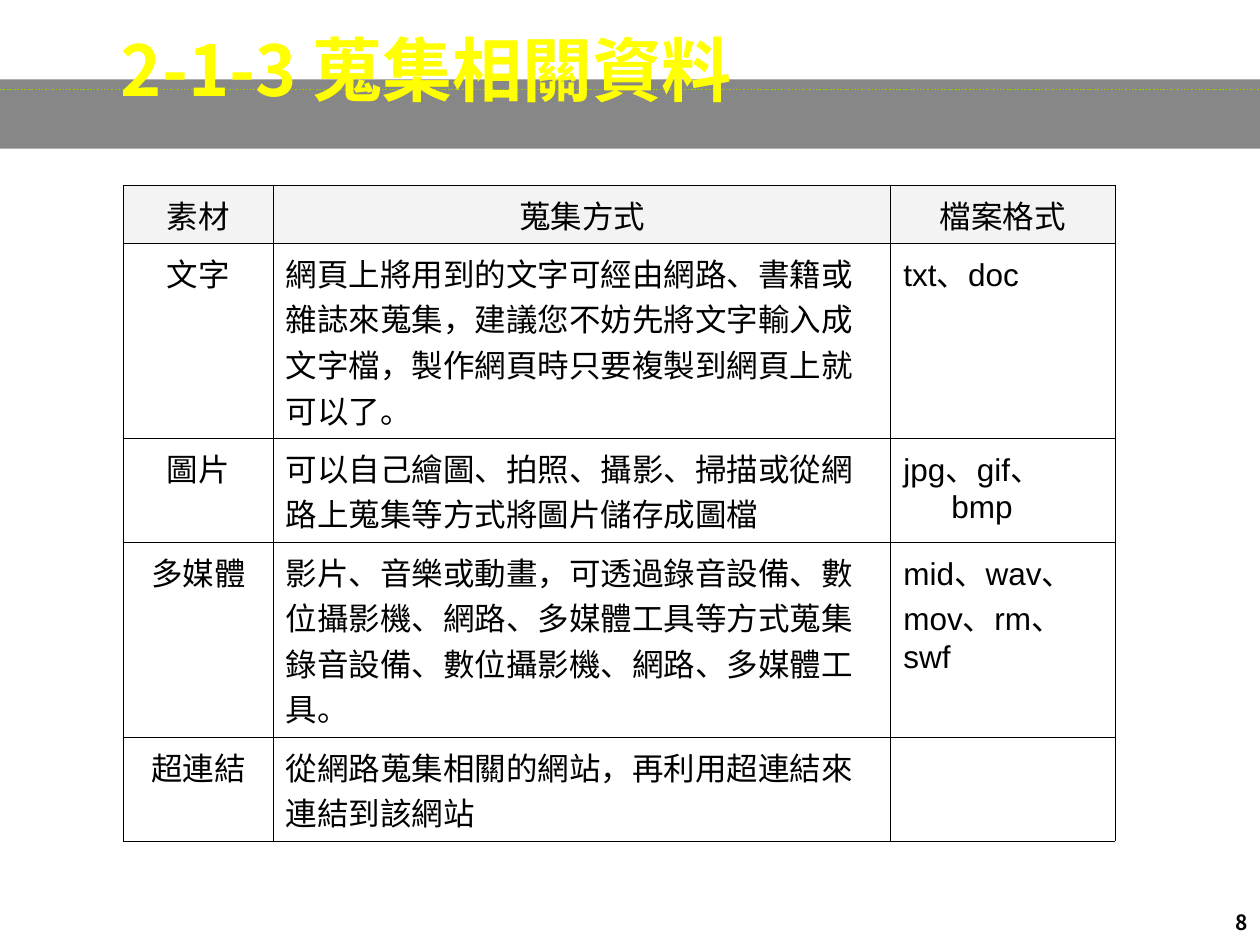
from lxml.etree import SubElement as Sub
from pptx import Presentation
from pptx.dml.color import RGBColor as RGB
from pptx.enum.dml import MSO_LINE
from pptx.enum.shapes import MSO_CONNECTOR as CON, MSO_SHAPE as SHAPE
from pptx.enum.text import MSO_ANCHOR as ANCHOR, MSO_AUTO_SIZE as AUTO, PP_ALIGN as ALIGN
from pptx.oxml.ns import qn
from pptx.util import Inches, Pt

BLACK = RGB(0x00, 0x00, 0x00)
GRAY = RGB(0x11, 0x11, 0x11)
LIME = RGB(0x99, 0xCC, 0x00)
YELLOW = RGB(0xFF, 0xFF, 0x00)
PALE = RGB(0xF3, 0xF3, 0xF3)
NOTO = "Noto Sans CJK SC"
HANG = Inches(0.38)


def style(par, size, name, color, bold=False):
    for run in par.runs:
        font = run.font
        font.size, font.name, font.bold = Pt(size), name, bold
        font.color.rgb = color
        if name == NOTO:
            Sub(run._r.get_or_add_rPr(), qn("a:ea"), typeface=name)


def edge(cell):
    props = cell._tc.get_or_add_tcPr()
    for i, side in enumerate(("lnL", "lnR", "lnT", "lnB")):
        line = props.makeelement(qn("a:" + side), {"w": str(Pt(0.45))})
        fill = Sub(line, qn("a:solidFill"))
        Sub(fill, qn("a:srgbClr"), val=str(BLACK))
        props.insert(i, line)


deck = Presentation()
deck.slide_width, deck.slide_height = Inches(10), Inches(7.5)
wide = deck.slide_width
slide = deck.slides.add_slide(deck.slide_layouts[5])
shapes = slide.shapes

# Half-transparent band
band = shapes.add_shape(SHAPE.RECTANGLE, 0, Inches(0.63), wide, Inches(0.55))
band.shadow.inherit = False
band.fill.solid()
band.fill.fore_color.rgb = GRAY
band.line.fill.background()
tint = band._element.spPr.find(qn("a:solidFill"))[0]
Sub(tint, qn("a:alpha"), val="50000")

# Dotted rule
rule = shapes.add_connector(CON.STRAIGHT, 0, Inches(0.71), wide, Inches(0.71))
rule.line.color.rgb = LIME
rule.line.width = Pt(1)
rule.line.dash_style = MSO_LINE.ROUND_DOT
Sub(rule._element.spPr, qn("a:effectLst"))

# Page number
page = shapes.add_textbox(Inches(7.67), Inches(7.17), Inches(2.33), Inches(0.52))
page.text_frame.word_wrap = True
par = page.text_frame.paragraphs[0]
par.text = "8"
par.alignment = ALIGN.RIGHT
style(par, 12, NOTO, BLACK, True)

# Title, in front of the band
title = shapes.title
title.left, title.top = Inches(0.86), Inches(0.16)
title.width, title.height = Inches(8.98), Inches(0.97)
shapes._spTree.append(title._element)
frame = title.text_frame
frame.text = "2-1-3 蒐集相關資料"
frame.auto_size = AUTO.NONE
frame.vertical_anchor = ANCHOR.TOP
par = frame.paragraphs[0]
par.alignment = ALIGN.LEFT
style(par, 40, NOTO, YELLOW, True)

# Table of materials
rows = [
    ("素材", "蒐集方式", "檔案格式"),
    ("文字", "網頁上將用到的文字可經由網路、書籍或雜誌來蒐集，建議您不妨先將文字輸入成"
     "文字檔，製作網頁時只要複製到網頁上就可以了。", "txt、doc"),
    ("圖片", "可以自己繪圖、拍照、攝影、掃描或從網路上蒐集等方式將圖片儲存成圖檔",
     "jpg、gif、bmp"),
    ("多媒體", "影片、音樂或動畫，可透過錄音設備、數位攝影機、網路、多媒體工具等方式蒐集\n"
     "錄音設備、數位攝影機、網路、多媒體工具。", "mid、wav、mov、rm、swf"),
    ("超連結", "從網路蒐集相關的網站，再利用超連結來連結到該網站", ""),
]
widths = (1.19, 4.9, 1.78)
heights = (0.4, 1.3, 0.7, 1.3, 0.7)
grid = shapes.add_table(len(rows), len(widths), Inches(0.98), Inches(1.47),
                        Inches(sum(widths)), Inches(sum(heights))).table
grid.first_row = grid.horz_banding = False
for col, width in zip(grid.columns, widths):
    col.width = Inches(width)
for row, height in zip(grid.rows, heights):
    row.height = Inches(height)

for r, texts in enumerate(rows):
    for c, text in enumerate(texts):
        cell = grid.cell(r, c)
        cell.text_frame.text = text
        if r == 0:
            cell.fill.solid()
            cell.fill.fore_color.rgb = PALE
        else:
            cell.fill.background()
        edge(cell)
        mid = r == 0 or c == 0
        hang = mid or (c == 2 and r < 3)
        for par in cell.text_frame.paragraphs:
            par.alignment = ALIGN.CENTER if mid else ALIGN.LEFT
            if hang:
                props = par._p.get_or_add_pPr()
                props.set("marL", str(HANG))
                props.set("indent", str(-HANG))
            style(par, 18, "Arial" if c == 2 and r else "Times New Roman", BLACK)

deck.save("out.pptx")
